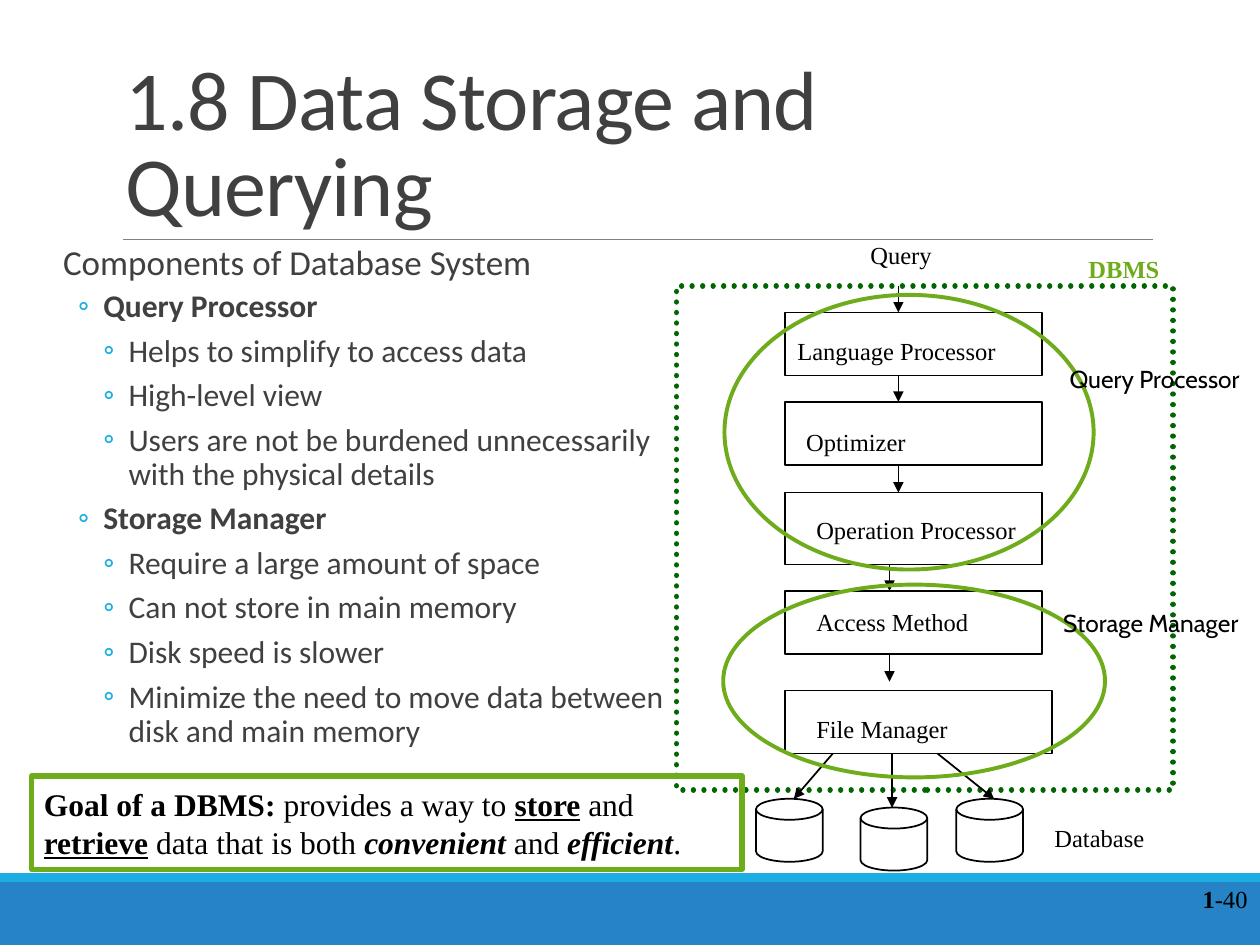
from lxml import etree
from pptx import Presentation
from pptx.dml.color import RGBColor
from pptx.enum.dml import MSO_LINE
from pptx.enum.shapes import MSO_CONNECTOR, MSO_SHAPE
from pptx.enum.text import MSO_ANCHOR, PP_ALIGN
from pptx.oxml.ns import qn
from pptx.util import Inches, Pt

RECTANGLE = MSO_SHAPE.RECTANGLE
ELLIPSE = MSO_SHAPE.OVAL
DISK = MSO_SHAPE.FLOWCHART_MAGNETIC_DISK
STRAIGHT = MSO_CONNECTOR.STRAIGHT
ROUND_DOT = MSO_LINE.ROUND_DOT
MIDDLE, BOTTOM = MSO_ANCHOR.MIDDLE, MSO_ANCHOR.BOTTOM
RIGHT = PP_ALIGN.RIGHT

SERIF, SANS, CABIN = "Times New Roman", "Calibri", "Cabin"
BLACK, GRAY, GREEN = "000000", "404040", "6EAC1C"
BLUE, CYAN = "2683C6", "1CADE4"

BODY = [
    (0, "Components of Database System"),
    (1, "Query Processor"),
    (2, "Helps to simplify to access data"),
    (2, "High-level view"),
    (2, "Users are not be burdened unnecessarily with the physical details"),
    (1, "Storage Manager"),
    (2, "Require a large amount of space"),
    (2, "Can not store in main memory"),
    (2, "Disk speed is slower"),
    (2, "Minimize the need to move data between disk and main memory"),
]
STAGES = [
    ("Language Processor", 2.48, 2.04, 0.5, 6.23, 2.62),
    ("Optimizer", 3.19, 2.04, 0.5, 6.3, 3.34),
    ("Operation Processor", 3.91, 2.04, 0.57, 6.38, 4.04),
    ("Access Method", 4.69, 2.04, 0.5, 6.38, 4.77),
    ("File Manager", 5.48, 2.12, 0.5, 6.38, 5.62),
]
ARROWS = [
    (7.13, 2.27, 7.13, 2.48),
    (7.13, 2.98, 7.13, 3.19),
    (7.13, 3.69, 7.13, 3.91),
    (7.06, 4.48, 7.06, 4.69),
    (7.06, 5.19, 7.06, 5.41),
    (6.61, 5.98, 6.3, 6.34),
    (7.08, 5.98, 7.08, 6.41),
    (7.44, 5.98, 7.89, 6.34),
]
DISKS = [(6, 6.34), (6.83, 6.41), (7.59, 6.34)]
GOAL = [
    ("Goal of a DBMS: ", "b"), ("provides a way to ", ""), ("store", "bu"),
    (" and ", ""), ("retrieve", "bu"), (" data that is both ", ""),
    ("convenient", "bi"), (" and ", ""), ("efficient", "bi"), (".", ""),
]


def color(value):
    return RGBColor.from_string(value)


def style(font, name, size, value, bold=False):
    font.name, font.size, font.bold = name, Pt(size), bold
    font.color.rgb = color(value)


def add_outline(shapes, kind, area, line, width=1):
    shape = shapes.add_shape(kind, *map(Inches, area))
    shape.shadow.inherit = False
    shape.fill.background()
    shape.line.color.rgb = color(line)
    shape.line.width = Pt(width)
    return shape


def add_band(shapes, area, fill):
    band = shapes.add_shape(RECTANGLE, *map(Inches, area))
    band.shadow.inherit = False
    band.fill.solid()
    band.fill.fore_color.rgb = color(fill)
    band.line.fill.background()


def add_line(shapes, ends, value=BLACK, width=1, arrow=False):
    line = shapes.add_connector(STRAIGHT, *map(Inches, ends))
    line.line.color.rgb = color(value)
    line.line.width = Pt(width)
    if arrow:
        etree.SubElement(line.line._get_or_add_ln(), qn("a:tailEnd"), type="triangle")
    etree.SubElement(line._element.spPr, qn("a:effectLst"))


def add_label(shapes, area, text, name=SERIF, size=14, value=BLACK, bold=False, wrap=True):
    box = shapes.add_textbox(*map(Inches, area))
    box.text_frame.word_wrap = wrap
    box.text_frame.text = text
    para = box.text_frame.paragraphs[0]
    style(para.runs[0].font, name, size, value, bold)
    return box


def add_spans(para, spans, size):
    para.text = ""
    for text, marks in spans:
        span = para.add_run()
        span.text = text
        style(span.font, SERIF, size, BLACK, "b" in marks)
        span.font.italic = "i" in marks
        span.font.underline = "u" in marks


def add_bullet(para, margin):
    properties = para._p.get_or_add_pPr()
    properties.set("marL", str(Inches(margin)))
    properties.set("indent", str(Inches(-0.2)))
    bullet_color = etree.SubElement(properties, qn("a:buClr"))
    etree.SubElement(bullet_color, qn("a:srgbClr"), val=CYAN)
    etree.SubElement(properties, qn("a:buFont"), typeface=SANS)
    etree.SubElement(properties, qn("a:buChar"), char="◦")


def add_title(shapes):
    title = add_label(shapes, (0.9, 0.31, 8.25, 1.59), "1.8 Data Storage and Querying",
                      SANS, 48, GRAY)
    title.text_frame.vertical_anchor = BOTTOM
    para = title.text_frame.paragraphs[0]
    para.line_spacing = 0.85
    para.runs[0].font._element.set("spc", "-50")


def add_body(shapes):
    box = shapes.add_textbox(*map(Inches, (0.4, 1.9, 4.95, 4.31)))
    frame = box.text_frame
    frame.word_wrap = True
    frame.margin_left = frame.margin_right = 0
    frame.text = "\n".join(text for _, text in BODY)
    for para, (level, _) in zip(frame.paragraphs, BODY):
        para.line_spacing = 0.9
        para.level = level
        if level:
            para.space_before, para.space_after = Pt(2), Pt(4)
            add_bullet(para, 0.22 + 0.2 * level)
        else:
            para.space_after = Pt(2)
            para._p.get_or_add_pPr().set("marL", str(Inches(0.1)))
        style(para.runs[0].font, SANS, 18 if level else 20, GRAY, level == 1)


def add_diagram(shapes):
    border = add_outline(shapes, RECTANGLE, (5.37, 2.27, 3.94, 4), "006600", 3)
    border.line.dash_style = ROUND_DOT
    border.line._get_or_add_ln().set("cap", "rnd")
    for text, top, width, height, text_left, text_top in STAGES:
        add_outline(shapes, RECTANGLE, (6.23, top, width, height), BLACK)
        add_label(shapes, (text_left, text_top, 1.89, 0.33), text)
    for ends in ARROWS:
        add_line(shapes, ends, arrow=True)
    for left, top in DISKS:
        add_outline(shapes, DISK, (left, top, 0.53, 0.5), BLACK)
    add_label(shapes, (8.27, 6.48, 1.44, 0.33), "Database")
    add_label(shapes, (6.81, 1.86, 0.9, 0.33), "Query")
    add_label(shapes, (8.54, 1.97, 1.21, 0.33), "DBMS", value=GREEN, bold=True)
    add_outline(shapes, ELLIPSE, (5.75, 2.34, 2.93, 2.18), GREEN, 2.25)
    add_outline(shapes, ELLIPSE, (5.74, 4.64, 3.03, 1.53), GREEN, 2.25)


def add_goal(shapes):
    goal = add_outline(shapes, RECTANGLE, (0.25, 6.16, 5.64, 0.74), GREEN, 3)
    goal.text_frame.word_wrap = True
    para = goal.text_frame.paragraphs[0]
    para.alignment = PP_ALIGN.LEFT
    add_spans(para, GOAL, 18)


def add_page_number(shapes):
    box = shapes.add_textbox(*map(Inches, (9.17, 6.97, 0.83, 0.33)))
    box.text_frame.word_wrap = True
    box.text_frame.vertical_anchor = MIDDLE
    para = box.text_frame.paragraphs[0]
    para.alignment = RIGHT
    add_spans(para, [("1", "b"), ("-40", "")], 14)


def main():
    deck = Presentation()
    deck.slide_width, deck.slide_height = Inches(10), Inches(7.5)
    page = deck.slides.add_slide(deck.slide_layouts[6])
    shapes = page.shapes
    add_band(shapes, (0, 7, 10, 0.5), BLUE)
    add_band(shapes, (0, 6.93, 10, 0.07), CYAN)
    add_line(shapes, (0.98, 1.9, 9.15, 1.9), "808080", 0.5)
    add_title(shapes)
    add_body(shapes)
    add_page_number(shapes)
    add_diagram(shapes.add_group_shape().shapes)
    add_goal(shapes)
    add_label(shapes, (8.39, 2.84, 1.6, 0.33), "Query Processor", CABIN, wrap=False)
    add_label(shapes, (8.34, 4.78, 1.66, 0.33), "Storage Manager", CABIN, wrap=False)
    deck.save("out.pptx")


if __name__ == "__main__":
    main()
